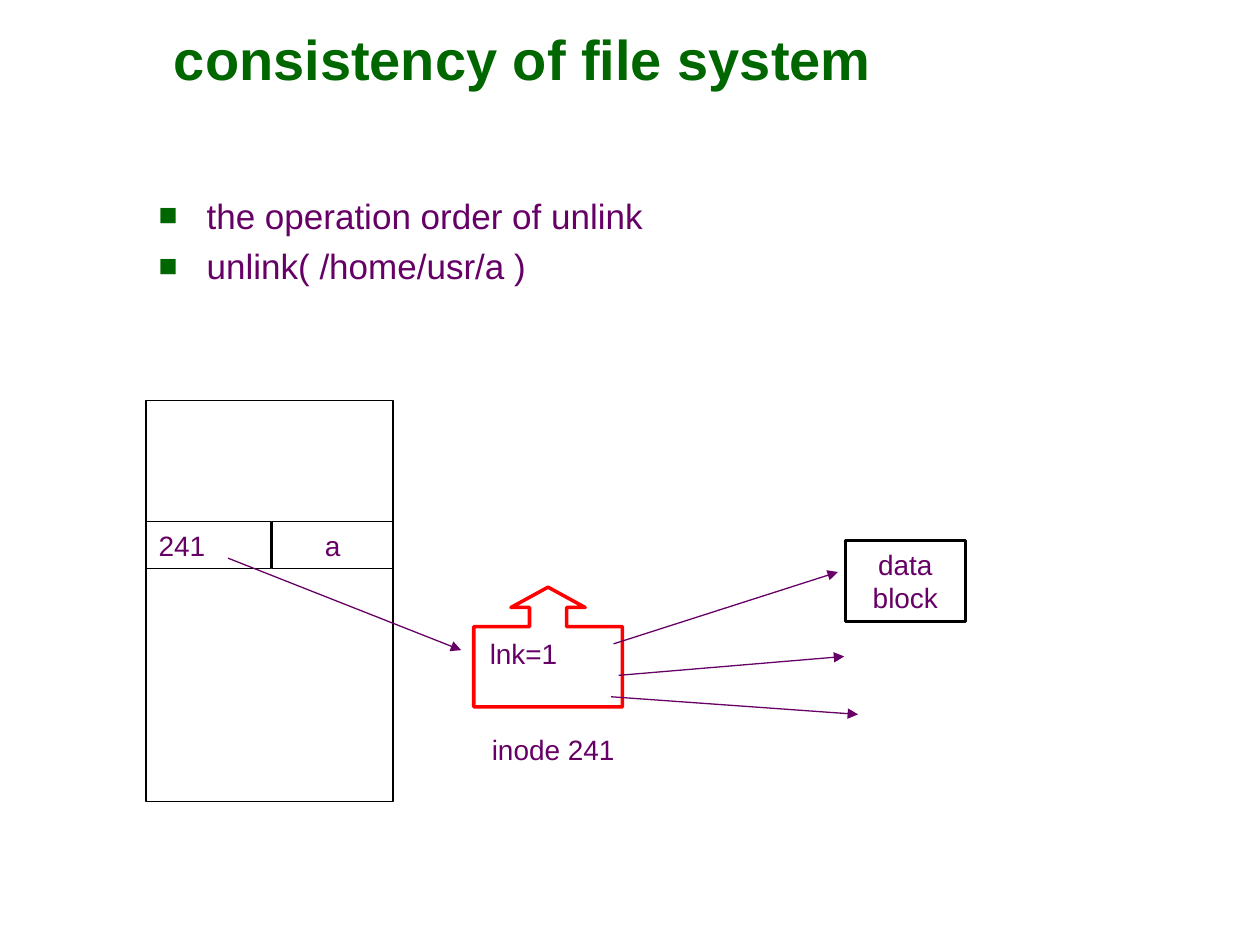
from lxml.etree import SubElement
from pptx import Presentation
from pptx.dml.color import RGBColor
from pptx.enum.shapes import MSO_CONNECTOR as Link, MSO_SHAPE as Form
from pptx.enum.text import MSO_ANCHOR as Anchor, MSO_AUTO_SIZE as Fit, PP_ALIGN as Align
from pptx.oxml.ns import qn
from pptx.util import Inches, Pt

COLORS = {"heading": "006600", "text": "660066", "edge": "000000", "callout": "FF0000"}
FORMATS = {
    "heading": {"name": "Arial", "size": Pt(32), "bold": True},
    "list": {"name": "Arial", "size": Pt(20), "bold": False},
    "label": {"name": "Arial", "size": Pt(16), "bold": False},
}
COLUMNS, ROWS = 100, 75


class Board:
    def __init__(self, deck):
        self.slide = deck.slides.add_slide(deck.slide_layouts[1])
        self.column = deck.slide_width / COLUMNS
        self.row = deck.slide_height / ROWS

    def color(self, key):
        return RGBColor.from_string(COLORS[key])

    def point(self, column, row):
        return round(column * self.column), round(row * self.row)

    def area(self, left, top, width, height):
        return *self.point(left, top), *self.point(width, height)

    def move(self, holder, area):
        for side, length in zip(("left", "top", "width", "height"), self.area(*area)):
            setattr(holder, side, length)

    def add_words(self, paragraph, words, kind, color="text", align=Align.LEFT):
        run = paragraph.add_run()
        run.text = words
        for key, value in FORMATS[kind].items():
            setattr(run.font, key, value)
        run.font.color.rgb = self.color(color)
        paragraph.alignment = align

    def frame(self, holder, anchor, wrap=True):
        settings = {"auto_size": Fit.NONE, "vertical_anchor": anchor, "word_wrap": wrap}
        for key, value in settings.items():
            setattr(holder.text_frame, key, value)
        return holder.text_frame

    def title(self, words, area):
        heading = self.slide.shapes.title
        self.move(heading, area)
        frame = self.frame(heading, Anchor.MIDDLE)
        self.add_words(frame.paragraphs[0], words, "heading", "heading")

    def bullet(self, paragraph):
        props = paragraph._p.get_or_add_pPr()
        props.set("marL", str(Inches(0.38)))
        props.set("indent", str(-Inches(0.38)))
        tint = SubElement(props, qn("a:buClr"))
        SubElement(tint, qn("a:srgbClr"), val=COLORS["heading"])
        SubElement(props, qn("a:buSzPct"), val="90000")
        SubElement(props, qn("a:buFont"), typeface="Arial")
        SubElement(props, qn("a:buChar"), char="■")

    def bullets(self, lines, area):
        body = self.slide.placeholders[1]
        self.move(body, area)
        frame = self.frame(body, Anchor.TOP)
        for index, words in enumerate(lines):
            paragraph = frame.add_paragraph() if index else frame.paragraphs[0]
            self.bullet(paragraph)
            paragraph.space_before = Pt(5 if index else 0)
            self.add_words(paragraph, words, "list")

    def box(self, area, words="", align=Align.CENTER, form=Form.RECTANGLE,
            edge="edge", weight=0.75):
        box = self.slide.shapes.add_shape(form, *self.area(*area))
        box.shadow.inherit = False
        box.fill.background()
        box.line.color.rgb = self.color(edge)
        box.line.width = Pt(weight)
        if words:
            frame = self.frame(box, Anchor.MIDDLE)
            self.add_words(frame.paragraphs[0], words, "label", align=align)
        return box

    def label(self, words, area):
        label = self.slide.shapes.add_textbox(*self.area(*area))
        frame = self.frame(label, Anchor.MIDDLE, wrap=False)
        self.add_words(frame.paragraphs[0], words, "label", align=Align.CENTER)

    def arrow(self, start, end):
        arrow = self.slide.shapes.add_connector(
            Link.STRAIGHT, *self.point(*start), *self.point(*end))
        arrow.line.color.rgb = self.color("text")
        arrow.line.width = Pt(0.75)
        props = arrow._element.spPr
        SubElement(props.find(qn("a:ln")), qn("a:tailEnd"), type="triangle")
        SubElement(props, qn("a:effectLst"))


def main():
    deck = Presentation()
    deck.slide_width, deck.slide_height = Inches(10), Inches(7.5)
    board = Board(deck)

    board.title("consistency of file system", (12.8, 0, 85, 9.2))
    board.bullets(["the operation order of unlink", "unlink( /home/usr/a )"],
                  (11.6, 14.9, 71.6, 9.8))

    board.box((11.6, 31.8, 19.6, 31.8))
    board.box((11.6, 41.4, 9.9, 3.7), "241", Align.LEFT)
    board.box((21.6, 41.4, 9.6, 3.7), "a")

    inode = board.box((37.6, 46.6, 11.8, 9.5), form=Form.UP_ARROW_CALLOUT,
                      edge="callout", weight=2)
    for index, share in enumerate((0.31, 0.31, 0.17, 0.67)):
        inode.adjustments[index] = share
    board.label("inode 241", (36.7, 57.6, 14.4, 3.7))

    for start, end in (
        ((18.1, 44.3), (36.6, 51.6)),
        ((48.7, 51.1), (66.5, 45.4)),
        ((49.1, 53.6), (67, 52.1)),
        ((48.5, 55.3), (68.1, 56.7)),
    ):
        board.arrow(start, end)

    board.box((67.1, 42.9, 9.5, 6.4), "data block", weight=1.75)
    board.label("lnk=1", (37.8, 50, 7.5, 3.7))

    deck.save("out.pptx")


if __name__ == "__main__":
    main()
